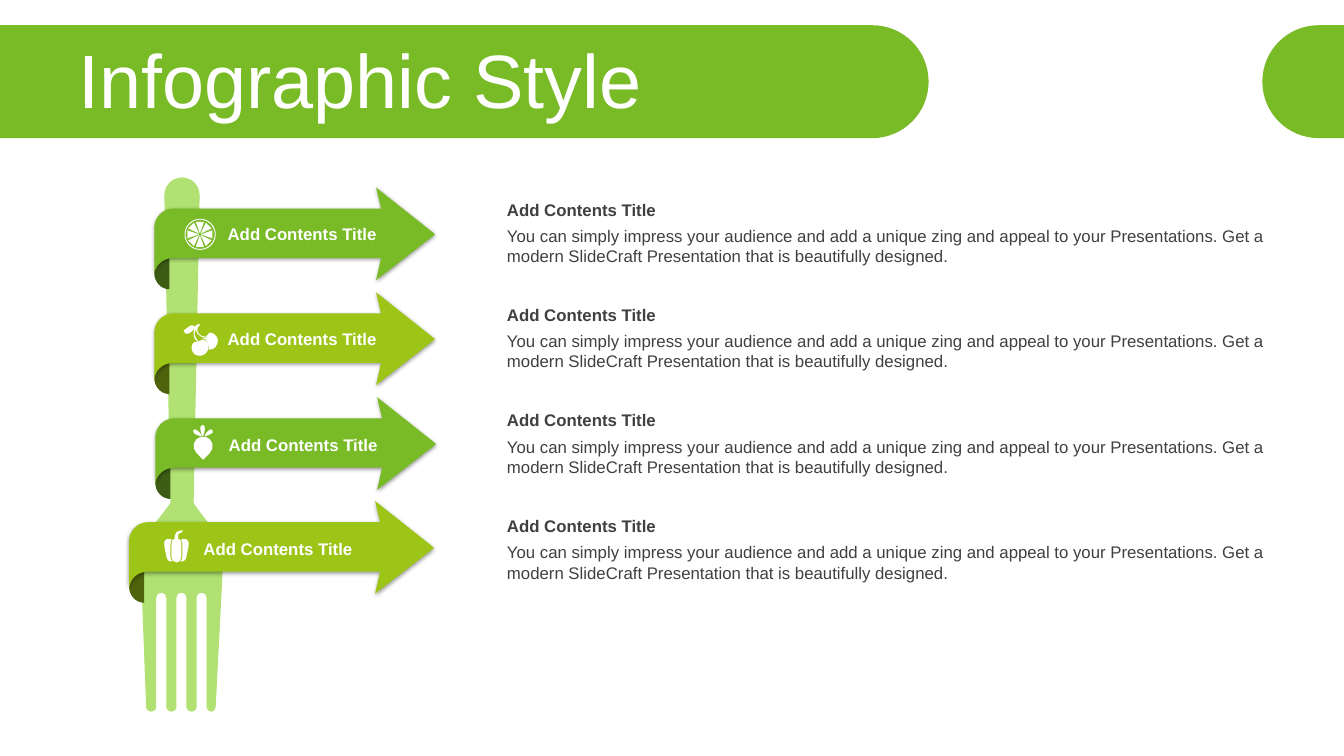
import math

from lxml import etree
from pptx import Presentation
from pptx import util as u
from pptx.dml.color import RGBColor
from pptx.enum import shapes, text
from pptx.oxml.ns import qn

# Content
TITLE = "Infographic Style"
HEADING = "Add Contents Title"
BODY = ("You can simply impress your audience and add a unique zing and appeal to your "
        "Presentations. Get a modern SlideCraft Presentation that is beautifully designed.")
COLORS = {"green": "79BA27", "lime": "9DC518", "pale": "B0E172", "dark_green": "3D5D14",
          "dark_lime": "4F620C", "white": "FFFFFF", "text": "404040", "shadow": "000000"}
# Ribbon left, head shift, ribbon drop, label left, label top, text top, colour
ROWS = [
    (153, 0, 0, 216, 217, 193, "green"),
    (153, 0, 104, 216, 321, 297, "lime"),
    (154, 1, 208, 217, 426, 402, "green"),
    (128, -1, 311, 192, 530, 507, "lime"),
]

# Outlines in px: M move, L line, C cubic curve, Z close
BANNERS = [
    "M 0 25 L 865 25 C 896 25 921 50 921 81 C 921 112 896 137 865 137 L 0 137 Z",
    "M 1333 25 L 1308 25 C 1277 25 1252 50 1252 81 C 1252 112 1277 137 1308 137 L 1333 137 Z",
]
CHERRIES = [
    "M 191 341 C 194 338 194 340 196 339 C 199 339 198 337 202 337 C 203 337 204 338 206 340 "
    "C 208 345 206 350 202 352 C 198 354 193 353 191 349 C 190 346 189 343 191 341 Z",
    "M 196 322 C 198 320 199 322 198 323 C 195 325 193 329 193 331 C 193 333 195 337 197 339 "
    "L 196 340 L 196 339 C 193 337 192 334 192 331 C 192 328 193 323 196 322 Z",
    "M 207 331 C 207 331 208 331 208 330 C 209 330 211 330 213 332 C 217 335 217 340 214 344 "
    "C 213 346 210 347 207 347 C 207 345 207 342 206 340 C 205 337 204 337 202 336 "
    "C 201 336 201 336 200 336 C 201 335 202 336 204 335 C 206 333 205 332 207 331 Z",
    "M 194 325 C 195 323 196 324 196 325 C 195 328 196 330 198 332 C 199 333 202 334 204 334 "
    "L 204 335 C 201 335 198 334 197 332 C 195 331 194 327 194 325 Z",
    "M 186 325 L 182 328 L 184 331 C 185 332 188 331 190 329 L 194 325 L 192 323 "
    "C 191 322 188 323 186 325 Z",
]
RADISH_LEAVES = [
    "M 199 423 C 201 421 202 421 203 423 C 204 425 202 433 201 433 C 200 433 198 425 199 423 Z",
    "M 209 426 C 211 426 211 427 211 429 C 210 431 203 433 203 433 C 202 432 207 426 209 426 Z",
    "M 193 426 C 192 426 191 427 192 429 C 192 431 200 433 200 433 C 201 432 196 426 193 426 Z",
]
PEPPER = [
    "M 170 540 C 170 537 171 534 174 534 L 176 534 C 179 534 180 537 180 540 L 180 552 "
    "C 180 555 178 558 175 558 C 172 558 170 555 170 552 Z",
    "M 173 534 C 173 532 174 530 175 528 C 177 527 179 526 181 526 L 181 528 "
    "C 179 528 178 529 177 530 C 176 531 177 533 177 534 C 176 535 174 534 173 534 Z",
    "M 165 535 L 170 535 C 169 537 169 538 169 540 L 169 552 C 169 554 170 556 171 557 "
    "C 168 558 165 555 165 552 L 163 542 C 162 539 163 536 165 535 Z",
    "M 180 535 L 185 535 C 187 536 188 539 187 542 L 185 552 C 185 555 182 558 179 557 "
    "C 180 556 181 554 181 552 L 181 540 C 181 539 180 537 180 536 Z",
]

PX = u.Inches(1) // 100

presentation = Presentation()
presentation.slide_width = 1333 * PX
presentation.slide_height = 750 * PX
slide = presentation.slides.add_slide(presentation.slide_layouts[6])


def paint(shape, color):
    shape.shadow.inherit = False
    shape.fill.solid()
    shape.fill.fore_color.rgb = RGBColor.from_string(COLORS[color])
    shape.line.fill.background()
    return shape


def add_preset(kind, left, top, width, height, color, rotation=0, adjust=None):
    shape = slide.shapes.add_shape(kind, left * PX, top * PX, width * PX, height * PX)
    shape.rotation = rotation
    if adjust is not None:
        shape.adjustments[0] = adjust
    return paint(shape, color)


def add_outline(outline, color):
    builder = None
    for contour in outline.split("Z")[:-1]:
        numbers = [round(float(token) * PX) for token in contour.split() if token not in "MLC"]
        start, *rest = zip(numbers[::2], numbers[1::2])
        if builder is None:
            builder = slide.shapes.build_freeform(*start, scale=1.0)
        else:
            builder.move_to(*start)
        builder.add_line_segments(rest, close=True)
    shape = builder.convert_to_shape()

    # Join the three lines of each curve into one cubic curve
    geometry = shape._element.spPr.find(".//" + qn("a:path"))
    nodes = iter(list(geometry))
    for command in filter(str.isalpha, outline):
        node = next(nodes)
        if command == "C":
            node.tag = qn("a:cubicBezTo")
            for extra in (next(nodes), next(nodes)):
                node.append(extra[0])
                geometry.remove(extra)
    return paint(shape, color)


def add_shadow(shape):
    effects = shape._element.spPr.find(qn("a:effectLst"))
    shadow = etree.SubElement(effects, qn("a:outerShdw"), blurRad=str(u.Pt(3)), dist=str(u.Pt(1)),
                              dir="5400000", algn="t", rotWithShape="0")
    color = etree.SubElement(shadow, qn("a:srgbClr"), val=COLORS["shadow"])
    etree.SubElement(color, qn("a:alpha"), val="40000")


def add_text(words, left, top, width, height, size=12, color="text", bold=False,
             anchor=text.MSO_ANCHOR.TOP, line_spacing=None):
    box = slide.shapes.add_textbox(left * PX, top * PX, width * PX, height * PX)
    frame = box.text_frame
    frame.word_wrap = True
    frame.vertical_anchor = anchor
    paragraph = frame.paragraphs[0]
    paragraph.text = words
    paragraph.line_spacing = line_spacing
    font = paragraph.font
    font.name, font.size, font.bold = "Arial", u.Pt(size), bold
    font.color.rgb = RGBColor.from_string(COLORS[color])


def fork_head():
    outline = "M 210 706 C 208 706 207 705 206 704 L 205 702 "
    for x in (205, 185, 165):  # right edge of each slot
        outline += (f"L {x} 593 C {x} 590 {x - 2} 588 {x - 5} 588 "
                    f"C {x - 8} 588 {x - 10} 590 {x - 10} 593 L {x - 10} 702 L {x - 11} 704 "
                    f"C {x - 12} 705 {x - 13} 706 {x - 15} 706 "
                    f"C {x - 17} 706 {x - 18} 705 {x - 19} 704 L {x - 20} 702 ")
    return outline + ("L 139 544 C 139 535 159 514 169 499 L 192 499 C 202 514 222 536 222 544 "
                      "L 214 701 C 214 704 212 706 210 706 Z")


def citrus_wedges(x=198.3, y=232.5, radius=13, half_angle=18):
    outline = ""
    for angle in range(0, 360, 45):
        corners = [(1, angle), (radius, angle - half_angle), (radius, angle + half_angle)]
        for command, (r, degrees) in zip("MLL", corners):
            turn = math.radians(degrees)
            outline += f"{command} {x + r * math.cos(turn):.2f} {y + r * math.sin(turn):.2f} "
        outline += "Z "
    return outline


# Title banner
for banner in BANNERS:
    add_outline(banner, "green")
add_text(TITLE, 68, 44, 1233, 79, size=54, color="white",
         anchor=text.MSO_ANCHOR.MIDDLE, line_spacing=0.9)

# Fork
add_preset(shapes.MSO_SHAPE.TRAPEZOID, 163, 194, 35, 306, "pale", rotation=180, adjust=0.17)
add_preset(shapes.MSO_SHAPE.OVAL, 163, 176, 35, 35, "pale")
add_outline(fork_head(), "pale")

# Ribbon arrows, labels and descriptions
for left, shift, drop, label_left, label_top, text_top, color in ROWS:
    top, bottom, head = 207 + drop, 256 + drop, 373 + shift
    add_outline(f"M {left + 15} {bottom} L {left + 15} {bottom + 31} "
                f"C {left + 7} {bottom + 31} {left} {bottom + 24} {left} {bottom + 15} "
                f"C {left} {bottom + 7} {left + 7} {bottom} {left + 15} {bottom} Z",
                "dark_" + color)
    arrow = add_outline(
        f"M {head} {top - 21} L {head + 58} {top + 25} L {head + 58} {top + 26} "
        f"L {head} {bottom + 22} L {head + 5} {bottom} L {left + 19} {bottom} "
        f"C {left + 8} {bottom} {left} {bottom + 8} {left} {bottom + 18} L {left} {top + 19} "
        f"C {left} {top + 9} {left + 8} {top} {left + 19} {top} L {head + 5} {top} Z", color)
    add_shadow(arrow)
    add_text(HEADING, label_left, label_top, 173, 30, color="white", bold=True)
    add_text(HEADING, 493, text_top, 792, 30, bold=True)
    add_text(BODY, 493, text_top + 26, 792, 50)

# Food icons
add_outline(citrus_wedges(), "white")
add_preset(shapes.MSO_SHAPE.DONUT, 183, 217, 31, 31, "white", adjust=0.03)
add_preset(shapes.MSO_SHAPE.TEAR, 192, 433, 19, 19, "white", rotation=135)
for outline in CHERRIES + RADISH_LEAVES + PEPPER:
    add_outline(outline, "white")

presentation.save("out.pptx")
